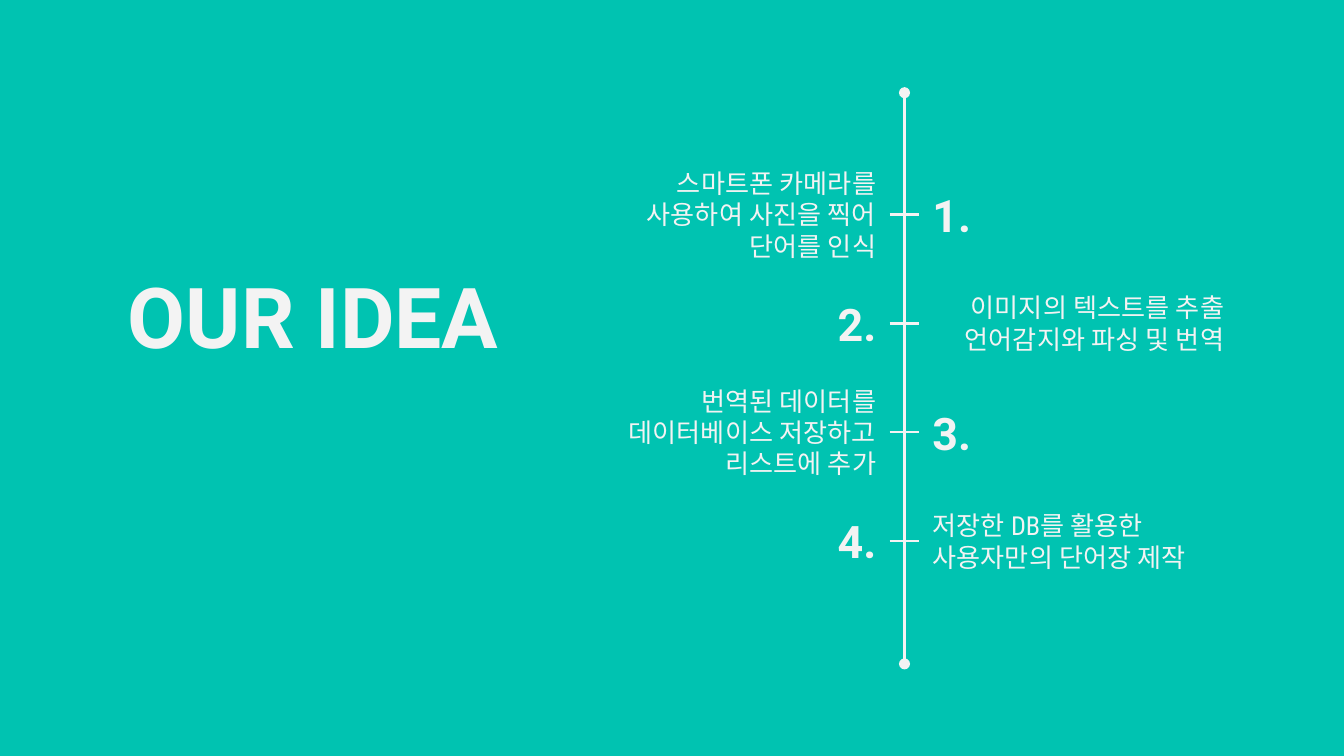
from lxml.etree import SubElement
from pptx import Presentation
from pptx.dml.color import RGBColor
from pptx.enum.shapes import MSO_CONNECTOR
from pptx.enum.text import MSO_ANCHOR, MSO_AUTO_SIZE, PP_ALIGN
from pptx.oxml.ns import qn
from pptx.util import Inches, Pt

COLORS = {"back": "00C3B1", "ink": "F3F3F3"}
LEFT, RIGHT = PP_ALIGN.LEFT, PP_ALIGN.RIGHT


class Deck:
    head = "Roboto"
    body = "Roboto Condensed"

    def __init__(self, width, height):
        self.file = Presentation()
        self.file.slide_width = Inches(width)
        self.file.slide_height = Inches(height)

    def page(self):
        self.slide = self.file.slides.add_slide(self.file.slide_layouts[5])
        fill = self.slide.background.fill
        fill.solid()
        fill.fore_color.rgb = RGBColor.from_string(COLORS["back"])

    def style(self, shape, text, size, font, bold, align, anchor):
        frame = shape.text_frame
        frame.text = text
        frame.word_wrap = True
        frame.auto_size = MSO_AUTO_SIZE.NONE
        frame.vertical_anchor = anchor
        frame.margin_left = frame.margin_right = Inches(0.1)
        frame.margin_top = frame.margin_bottom = Inches(0.1)
        for para in frame.paragraphs:
            para.alignment = align
            for run in para.runs:
                run.font.size = Pt(size)
                run.font.name = font
                run.font.bold = bold
                run.font.color.rgb = RGBColor.from_string(COLORS["ink"])
                for script in ("a:ea", "a:cs"):
                    SubElement(run.font._element, qn(script), typeface=font)

    def title(self, text, x, y, w, h):
        shape = self.slide.shapes.title
        shape.left, shape.top = Inches(x), Inches(y)
        shape.width, shape.height = Inches(w), Inches(h)
        self.style(shape, text, 45, self.head, True, RIGHT, MSO_ANCHOR.TOP)

    def text(self, text, x, y, w, h, align):
        box = self.slide.shapes.add_textbox(
            Inches(x), Inches(y), Inches(w), Inches(h))
        self.style(box, text, 14, self.body, False, align, MSO_ANCHOR.MIDDLE)
        return box

    def number(self, text, x, y, w, h, align):
        box = self.slide.shapes.add_textbox(
            Inches(x), Inches(y), Inches(w), Inches(h))
        self.style(box, text, 24, self.head, True, align, MSO_ANCHOR.MIDDLE)
        return box

    def line(self, x1, y1, x2, y2, dots=False):
        line = self.slide.shapes.add_connector(
            MSO_CONNECTOR.STRAIGHT,
            Inches(x1), Inches(y1), Inches(x2), Inches(y2))
        line.line.width = Pt(1.5)
        line.line.color.rgb = RGBColor.from_string(COLORS["ink"])
        props = line._element.spPr
        if dots:
            for end in ("a:headEnd", "a:tailEnd"):
                SubElement(props.find(qn("a:ln")), qn(end), type="oval")
        SubElement(props, qn("a:effectLst"))
        return line

    def save(self):
        self.file.save("out.pptx")


def main():
    deck = Deck(10, 10 * 9 / 16)
    deck.page()
    deck.title("OUR IDEA", 0.79, 1.87, 3.02, 1.89)

    axis = 6.73
    deck.line(axis, 0.69, axis, 4.94, dots=True)

    wide, tall, tick = 2.26, 0.69, 0.11
    near, far = axis - tick, axis + tick
    steps = [
        ("스마트폰 카메라를 사용하여 사진을 찍어 단어를 인식", near - wide, wide, RIGHT),
        ("이미지의 텍스트를 추출\n언어감지와 파싱 및 번역", 6.57, 2.64, RIGHT),
        ("번역된 데이터를\n데이터베이스 저장하고 리스트에 추가", near - wide, wide, RIGHT),
        ("저장한 DB를 활용한 사용자만의 단어장 제작", far, wide, LEFT),
    ]
    for row, (words, x, width, align) in enumerate(steps):
        top = 1.25 + 0.81 * row
        mid = top + tall / 2
        note = deck.text(words, x, top, width, tall, align)
        mark = f"{row + 1}."
        mark_x, side = (near - wide, RIGHT) if row % 2 else (far, LEFT)
        label = deck.number(mark, mark_x, top, wide, tall, side)
        before, after = (label, note) if row % 2 else (note, label)
        line = deck.line(near, mid, far, mid)
        line.begin_connect(before, 3)
        if after.left == Inches(far):
            line.end_connect(after, 1)

    deck.save()


if __name__ == "__main__":
    main()
